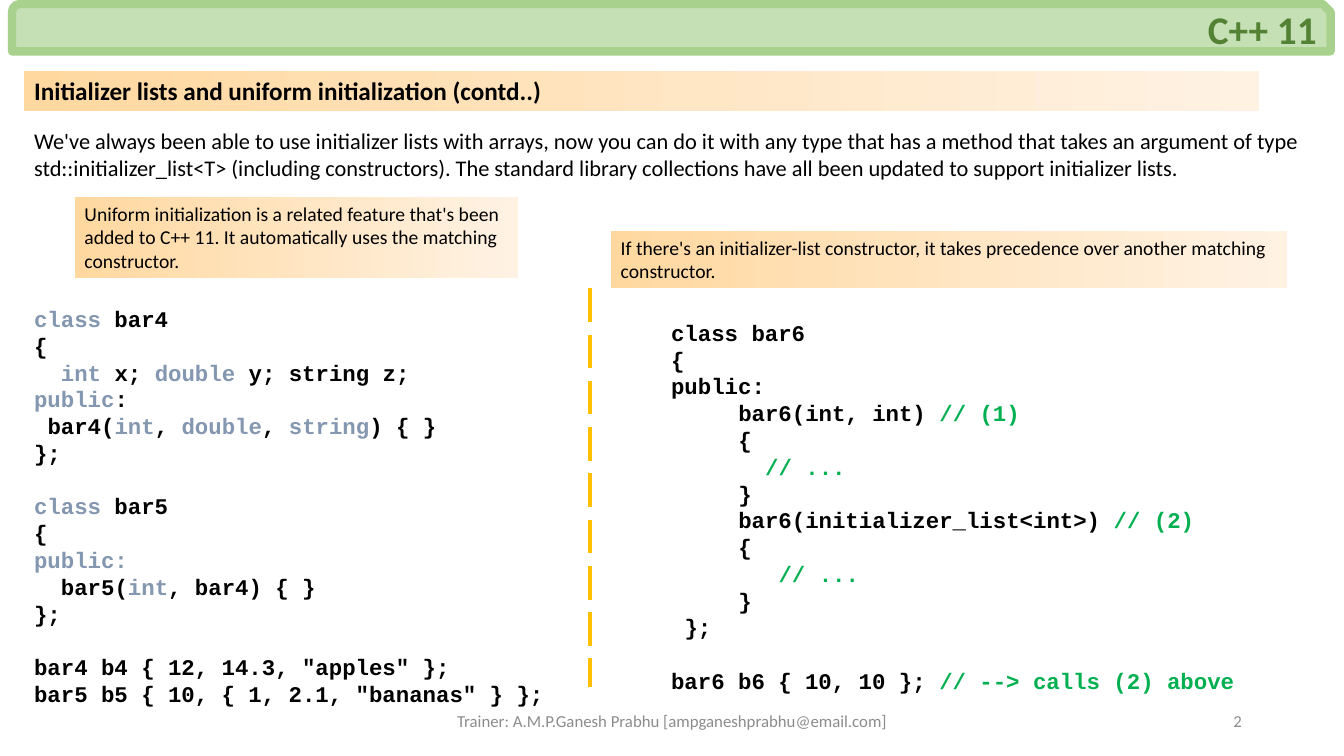
from pptx import Presentation
from pptx.dml.color import RGBColor
from pptx.enum.dml import MSO_LINE
from pptx.enum.shapes import MSO_CONNECTOR, MSO_SHAPE
from pptx.enum.text import MSO_ANCHOR as Anchor, PP_ALIGN as Align
from pptx.oxml.ns import qn
from pptx.util import Pt
from lxml.etree import SubElement

BLACK, GREEN, GRAY = "000000", "548235", "8C8C8C"
KEYWORD, COMMENT = "8497B0", "00B050"

# Backticks enclose the highlighted parts of the code
BAR4_BAR5 = """\
`class` bar4
{
  `int` x; `double` y; string z;
`public`:
 bar4(`int`, `double`, `string`) { }
};

`class` bar5
{
`public:`
  bar5(`int`, bar4) { }
};

bar4 b4 { 12, 14.3, "apples" };
bar5 b5 { 10, { 1, 2.1, "bananas" } };"""

BAR6 = """\
class bar6
{
public:
     bar6(int, int) `// (1)`
     {
       `// ...`
     }
     bar6(initializer_list<int>) `// (2)`
     {
        `// ...`
     }
 };

bar6 b6 { 10, 10 }; `// --> calls (2) above`"""


def rgb(value):
    return RGBColor.from_string(value)


class SlideBuilder:
    text_font, code_font = "Calibri", "Courier New"
    code_size, code_pitch, char_width = 16, 19.15, 9.6
    gradient = ("FFD8A0", "FFF2E3")

    def __init__(self, slide):
        self.slide = slide

    def add_run(self, paragraph, text, size, color=BLACK, bold=False, font=None):
        run = paragraph.add_run()
        run.text = text
        style = {"name": font or self.text_font, "size": Pt(size), "bold": bold}
        for name, value in style.items():
            setattr(run.font, name, value)
        run.font.color.rgb = rgb(color)

    def frame(self, shape, anchor, top_inset=3.6):
        frame = shape.text_frame
        style = {"word_wrap": True, "vertical_anchor": anchor,
                 "margin_left": Pt(7.2), "margin_right": Pt(7.2),
                 "margin_top": Pt(top_inset), "margin_bottom": Pt(3.6)}
        for name, value in style.items():
            setattr(frame, name, value)
        return frame

    def label(self, shape, text, size, anchor=Anchor.TOP, align=Align.LEFT, **style):
        paragraph = self.frame(shape, anchor).paragraphs[0]
        paragraph.alignment = align
        self.add_run(paragraph, text, size, **style)

    def shape(self, kind, box):
        shape = self.slide.shapes.add_shape(kind, *map(Pt, box))
        shape.shadow.inherit = False
        return shape

    def header(self, box, text):
        shape = self.shape(MSO_SHAPE.SNIP_ROUND_RECTANGLE, box)
        shape.fill.solid()
        shape.fill.fore_color.rgb = rgb("C5E0B4")
        shape.line.color.rgb = rgb("A9D18E")
        shape.line.width = Pt(6)
        self.label(shape, text, 28, Anchor.MIDDLE, Align.RIGHT, color=GREEN, bold=True)

    def band(self, box, text, size, **style):
        shape = self.shape(MSO_SHAPE.RECTANGLE, box)
        shape.line.fill.background()
        shape.fill.gradient()
        shape.fill.gradient_angle = 0
        for stop, color in zip(shape.fill.gradient_stops, self.gradient):
            stop.color.rgb = rgb(color)
        self.label(shape, text, size, **style)

    def text(self, box, text, size, **style):
        self.label(self.slide.shapes.add_textbox(*map(Pt, box)), text, size, **style)

    def code(self, box, source, accent):
        shape = self.slide.shapes.add_textbox(*map(Pt, box))
        frame = self.frame(shape, Anchor.MIDDLE, top_inset=0)
        paragraph, gap = frame.paragraphs[0], 0
        for number, line in enumerate(source.split("\n")):
            if not line:
                gap = self.code_pitch
                continue
            if number:
                paragraph = frame.add_paragraph()
            paragraph.line_spacing = Pt(self.code_pitch)
            paragraph.space_before = Pt(gap)
            gap = 0
            # Indentation becomes a paragraph margin
            body = line.lstrip()
            margin = Pt((len(line) - len(body)) * self.char_width)
            paragraph._p.get_or_add_pPr().set("marL", str(margin))
            for index, part in enumerate(body.split("`")):
                if part:
                    self.add_run(paragraph, part, self.code_size,
                                 accent if index % 2 else BLACK, True, self.code_font)

    def divider(self, x, top, bottom):
        line = self.slide.shapes.add_connector(
            MSO_CONNECTOR.STRAIGHT, Pt(x), Pt(top), Pt(x), Pt(bottom))
        line.line.color.rgb = rgb("FFC000")
        line.line.width = Pt(3)
        line.line.dash_style = MSO_LINE.LONG_DASH
        SubElement(line._element.spPr, qn("a:effectLst"))


def main():
    presentation = Presentation()
    presentation.slide_width, presentation.slide_height = Pt(960), Pt(540)
    builder = SlideBuilder(presentation.slides.add_slide(presentation.slide_layouts[6]))

    # Heading and introduction
    builder.header((8.6, 2.9, 941.8, 33.8), "C++ 11")
    builder.band((17.3, 50.4, 882, 28.8),
                 "Initializer lists and uniform initialization (contd..)",
                 18, anchor=Anchor.MIDDLE, bold=True)
    builder.text((17.3, 87.1, 918.7, 46.1),
                 "We've always been able to use initializer lists with arrays, now you can "
                 "do it with any type that has a method that takes an argument of type "
                 "std::initializer_list<T> (including constructors). The standard library "
                 "collections have all been updated to support initializer lists.", 16)

    # Left column: uniform initialization
    builder.band((53.3, 140.4, 316.8, 58.3),
                 "Uniform initialization is a related feature that's been added to C++ 11. "
                 "It automatically uses the matching constructor.", 14)
    builder.code((17.3, 216, 403.2, 294.5), BAR4_BAR5, KEYWORD)

    # Right column: constructor precedence
    builder.band((436.3, 164.9, 483.1, 41),
                 "If there's an initializer-list constructor, it takes precedence over "
                 "another matching constructor.", 14)
    builder.code((472.3, 226.1, 441.4, 275), BAR6, COMMENT)
    builder.divider(421.2, 205.9, 491)

    # Footer
    builder.text((318.2, 500.4, 324, 28.8),
                 "Trainer: A.M.P.Ganesh Prabhu [ampganeshprabhu@email.com]", 12,
                 anchor=Anchor.MIDDLE, align=Align.CENTER, color=GRAY)
    builder.text((678.2, 500.4, 216, 28.8), "2", 12,
                 anchor=Anchor.MIDDLE, align=Align.RIGHT, color=GRAY)

    presentation.save("out.pptx")


if __name__ == "__main__":
    main()
